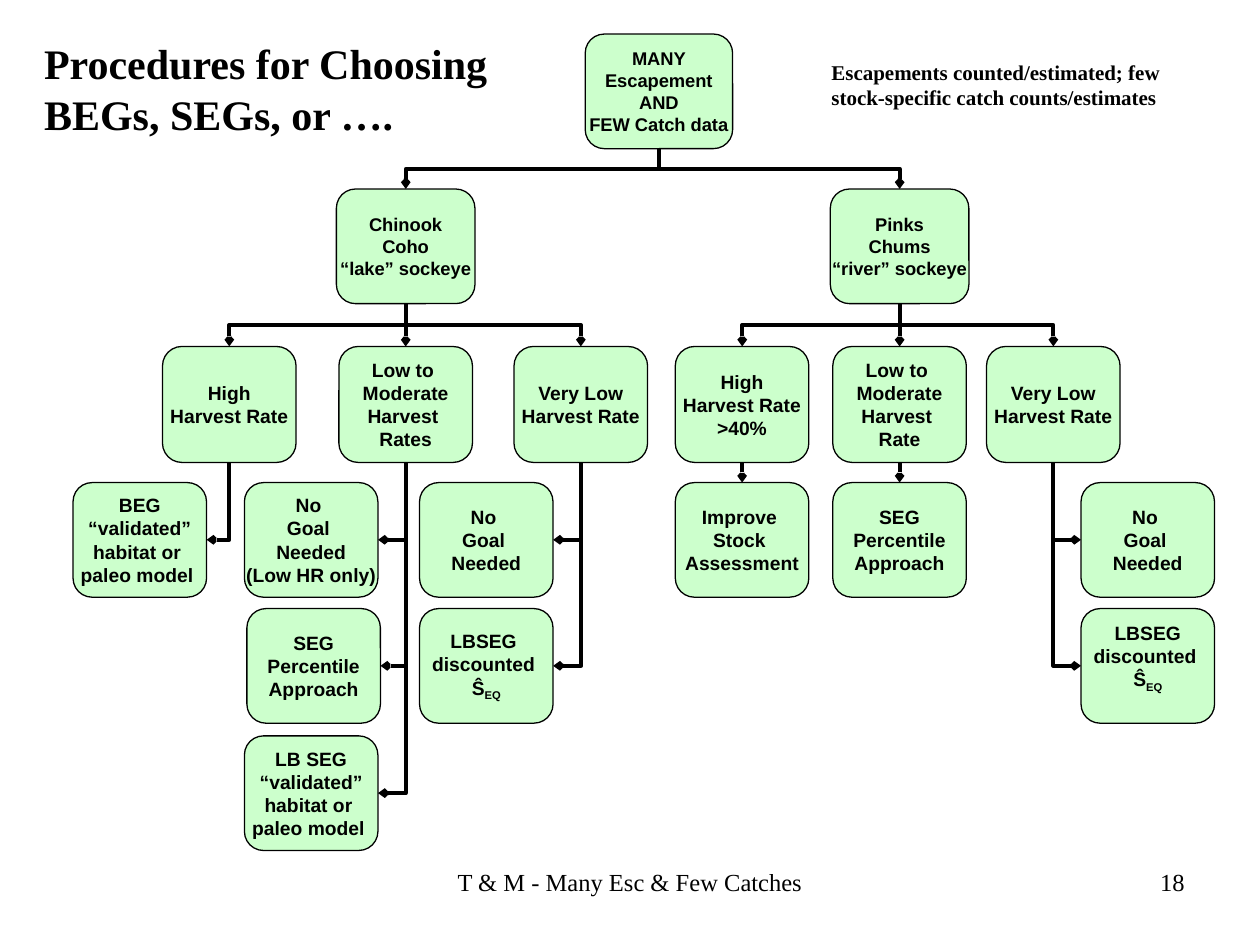
from pptx import Presentation
from pptx.dml.color import RGBColor
from pptx.enum import shapes, text
from pptx.oxml import parse_xml
from pptx.oxml.ns import nsdecls, qn
from pptx.util import Inches, Pt

# Content
TITLE = "Procedures for Choosing\nBEGs, SEGs, or …."
NOTE = "Escapements counted/estimated; few stock-specific catch counts/estimates"
FOOTER, PAGE = "T & M - Many Esc & Few Catches", "18"
SUBSCRIPT = "EQ"

# Rows: top, box width, box height, font size
ROWS = [(0.27, 1.17, 0.91, 10.5), (1.5, 1.1, 0.91, 10.5), (2.75, 1.06, 0.92, 11),
        (3.83, 1.06, 0.91, 11), (4.83, 1.06, 0.91, 11), (5.84, 1.06, 0.91, 11)]

# Boxes: name, parent, row, centre x, text
BOXES = [
    ("data", None, 0, 5.23, "MANY\nEscapement\nAND\nFEW Catch data"),
    ("lake", "data", 1, 3.22, "Chinook\nCoho\n“lake” sockeye"),
    ("river", "data", 1, 7.14, "Pinks\nChums\n“river” sockeye"),
    ("lake high", "lake", 2, 1.82, "High\nHarvest Rate"),
    ("lake low", "lake", 2, 3.22, "Low to \nModerate\nHarvest \nRates"),
    ("lake very low", "lake", 2, 4.61, "Very Low\nHarvest Rate"),
    ("river high", "river", 2, 5.89, "High\nHarvest Rate\n>40%"),
    ("river low", "river", 2, 7.14, "Low to \nModerate\nHarvest \nRate"),
    ("river very low", "river", 2, 8.36, "Very Low\nHarvest Rate"),
    ("BEG", "lake high", 3, 1.11, "BEG\n“validated”\nhabitat or \npaleo model "),
    ("lake low none", "lake low", 3, 2.47, "No \nGoal \nNeeded\n(Low HR only)"),
    ("lake SEG", "lake low", 4, 2.49, "SEG\nPercentile\nApproach"),
    ("LB SEG", "lake low", 5, 2.47, "LB SEG\n“validated”\nhabitat or \npaleo model "),
    ("lake none", "lake very low", 3, 3.86, "No \nGoal \nNeeded"),
    ("lake LBSEG", "lake very low", 4, 3.86, "LBSEG \ndiscounted \nŜEQ"),
    ("improve", "river high", 3, 5.89, "Improve \nStock \nAssessment"),
    ("river SEG", "river low", 3, 7.14, "SEG\nPercentile\nApproach"),
    ("river none", "river very low", 3, 9.11, "No \nGoal \nNeeded"),
    ("river LBSEG", "river very low", 4, 9.11, "LBSEG\ndiscounted \nŜEQ"),
]
TOP, LEFT, BOTTOM, RIGHT = range(4)


def color(value):
    return RGBColor.from_string(value)


def format_text(frame, size, font, bold, align):
    for paragraph in frame.paragraphs:
        paragraph.alignment = align
        for run in paragraph.runs:
            run.font.size, run.font.name, run.font.bold = Pt(size), font, bold
            run.font.color.rgb = color("000000")


def add_label(place, words, size, bold, align, wrap):
    frame = slide.shapes.add_textbox(*map(Inches, place)).text_frame
    frame.text, frame.word_wrap = words, wrap
    format_text(frame, size, "Times New Roman", bold, align)


def add_box(row, center, words):
    top, width, height, size = ROWS[row]
    box = slide.shapes.add_shape(
        shapes.MSO_SHAPE.ROUNDED_RECTANGLE,
        *map(Inches, (center - width / 2, top, width, height)))
    box.shadow.inherit = False
    box.fill.solid()
    box.fill.fore_color.rgb = color("CCFFCC")
    box.line.color.rgb = color("000000")
    box.line.width = Pt(0.75)
    frame = box.text_frame
    frame.margin_left = frame.margin_right = frame.margin_top = frame.margin_bottom = 0
    frame.word_wrap = False
    frame.vertical_anchor = text.MSO_ANCHOR.MIDDLE
    frame.text = words
    last = frame.paragraphs[-1]
    if last.text.endswith(SUBSCRIPT):
        last.runs[0].text = last.text.removesuffix(SUBSCRIPT)
        subscript = last.add_run()
        subscript.text = SUBSCRIPT
        subscript.font._element.set("baseline", "-25000")
    format_text(frame, size, "Arial", True, text.PP_ALIGN.CENTER)
    return box


def add_link(child, parent, row, offset):
    """Join the child to the bottom of its parent, arrowhead at the child."""
    kind = shapes.MSO_CONNECTOR.ELBOW if offset else shapes.MSO_CONNECTOR.STRAIGHT
    link = slide.shapes.add_connector(kind, 0, 0, 0, 0)
    beside = offset and row > 2
    link.begin_connect(child, (LEFT if offset > 0 else RIGHT) if beside else TOP)
    link.end_connect(parent, BOTTOM)
    properties = link._element.spPr
    if beside:
        properties.find(qn("a:prstGeom")).set("prst", "bentConnector2")
    elif offset:
        # Turn the elbow so that it leaves and arrives vertically
        middle_x, middle_y = link.left + link.width // 2, link.top + link.height // 2
        width, height = link.height, link.width
        link.left, link.top = middle_x - width // 2, middle_y - height // 2
        link.width, link.height = width, height
        frame = properties.find(qn("a:xfrm"))
        frame.set("rot", str((270 if offset > 0 else 90) * 60000))
        frame.set("flipH", "0" if offset > 0 else "1")
        frame.set("flipV", "1")
    link.line.color.rgb = color("000000")
    link.line.width = Pt(2.25)
    link.line._get_or_add_ln().append(
        parse_xml(f'<a:headEnd {nsdecls("a")} type="arrow" w="sm" len="sm"/>'))
    properties.append(parse_xml(f'<a:effectLst {nsdecls("a")}/>'))
    slide.shapes._spTree.insert(2, link._element)  # behind the boxes


presentation = Presentation()
presentation.slide_width, presentation.slide_height = Inches(10), Inches(7.5)
slide = presentation.slides.add_slide(presentation.slide_layouts[5])

# Title
title = slide.shapes.title
title.left, title.top, title.width, title.height = map(Inches, (0.25, 0.25, 3.82, 0.9))
title.text_frame.text = TITLE
title.text_frame.word_wrap = False
title.text_frame.auto_size = text.MSO_AUTO_SIZE.NONE
title.text_frame.vertical_anchor = text.MSO_ANCHOR.TOP
format_text(title.text_frame, 24, "Times New Roman", True, text.PP_ALIGN.LEFT)

# Decision tree
placed = {}
for name, parent, row, center, words in BOXES:
    placed[name] = add_box(row, center, words), center
    if parent:
        parent_box, parent_center = placed[parent]
        add_link(placed[name][0], parent_box, row, center - parent_center)
placed["river LBSEG"][0].text_frame.margin_bottom = Inches(0.13)

# Note, footer and page number
add_label((6.5, 0.42, 3.25, 0.5), NOTE, 12, True, text.PP_ALIGN.LEFT, True)
add_label((3.52, 6.83, 2.96, 0.34), FOOTER, 14, False, text.PP_ALIGN.CENTER, False)
add_label((7.17, 6.83, 2.33, 0.52), PAGE, 14, False, text.PP_ALIGN.RIGHT, True)

presentation.save("out.pptx")
